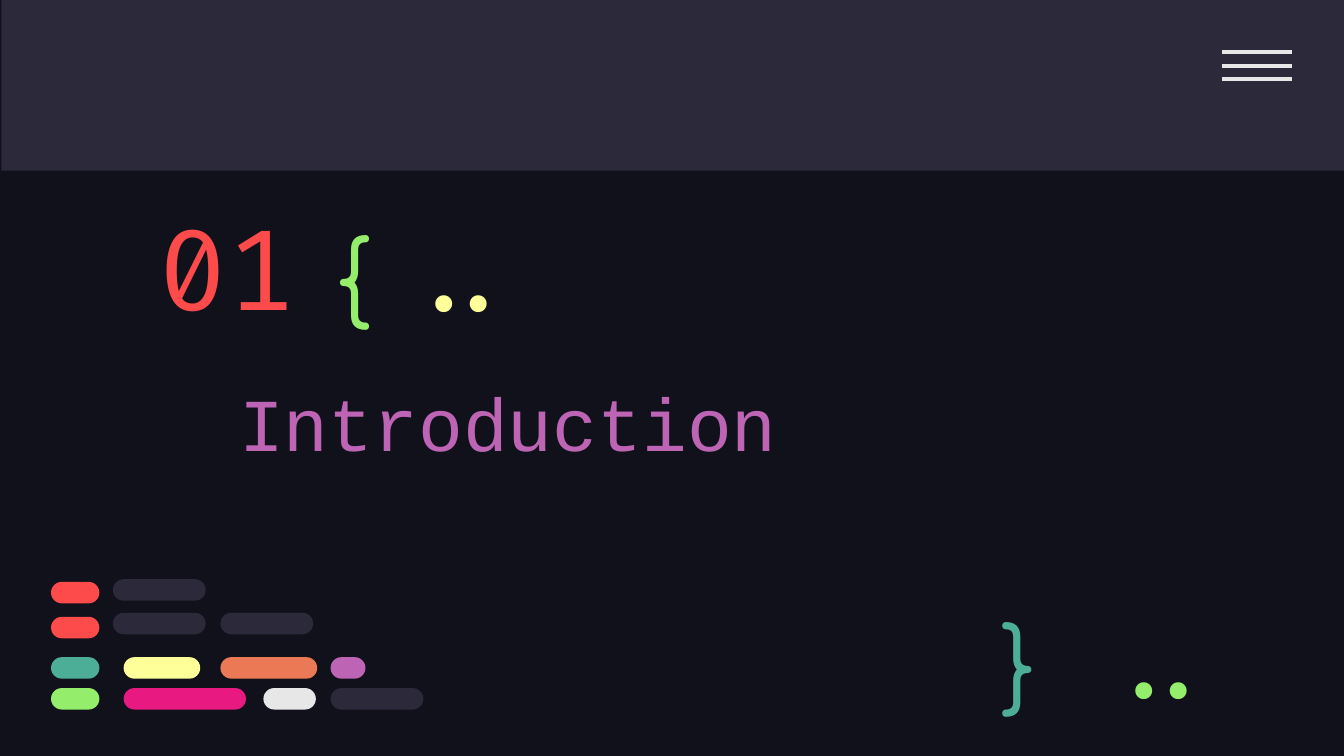
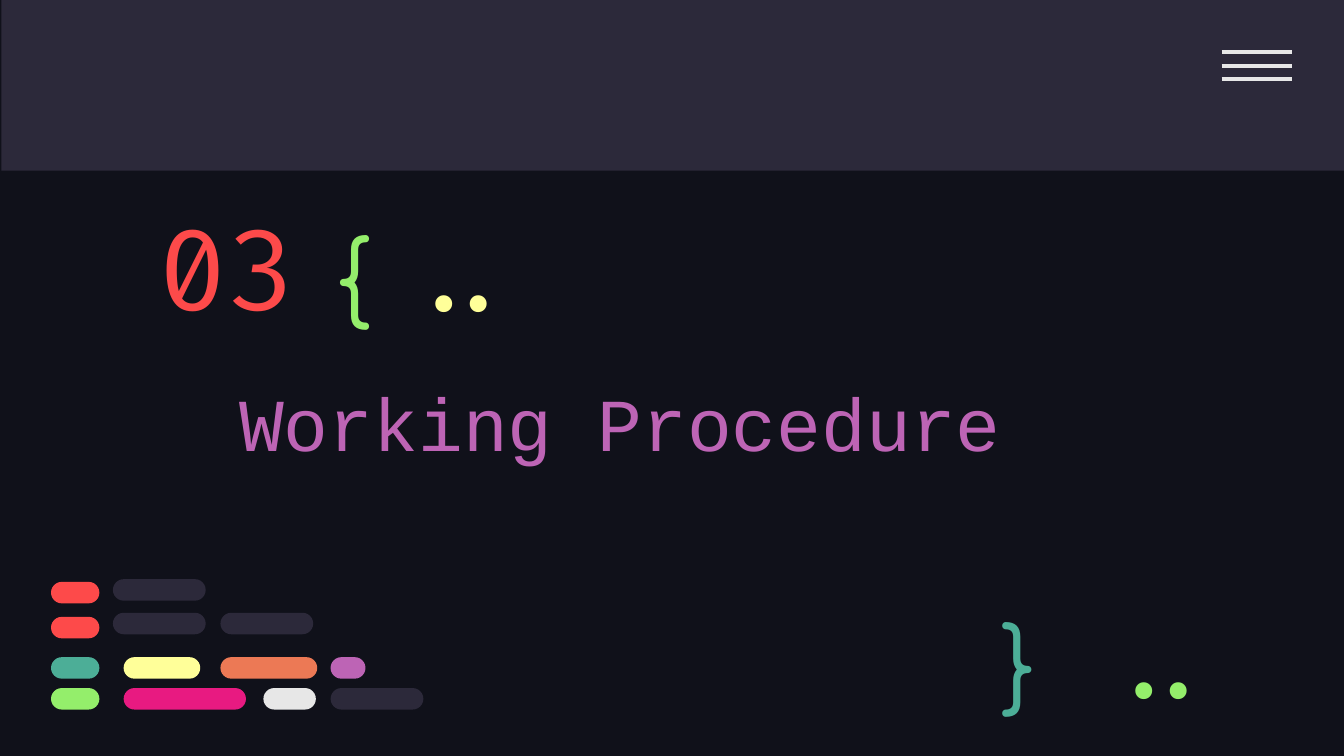
from dataclasses import dataclass

from lxml.etree import SubElement
from pptx import Presentation
from pptx.dml.color import RGBColor
from pptx.enum.shapes import MSO_CONNECTOR as Connector, MSO_SHAPE as Shape
from pptx.enum.text import MSO_ANCHOR as Anchor, MSO_AUTO_SIZE as AutoSize, PP_ALIGN as Align
from pptx.oxml.ns import qn
from pptx.util import Inches, Pt

COLORS = {
    "night": "10111A",
    "slate": "2C293A",
    "white": "E7E7E7",
    "purple": "BD64B5",
    "red": "FD4A4A",
    "green": "94EE6B",
    "teal": "4CAE97",
    "yellow": "FFFF99",
    "orange": "EC7955",
    "pink": "E81A81",
}

# The slide is a grid of square cells, 100 columns wide.
COLUMNS, ROWS = 100, 56.25
CELL = Inches(0.1)
PADDING = CELL
BAR_HEIGHT = 1.6
MENU_LEFT, MENU_RIGHT, MENU_TOP, MENU_STEP = 90.9, 96.1, 3.9, 1


@dataclass(frozen=True)
class Area:
    left: float
    top: float
    width: float
    height: float

    def lengths(self) -> tuple[int, ...]:
        return tuple(cells(n) for n in (self.left, self.top, self.width, self.height))


@dataclass(frozen=True)
class TextStyle:
    area: Area
    font: str
    size: int
    color: str
    align: Align = Align.LEFT
    anchor: Anchor = Anchor.MIDDLE


@dataclass(frozen=True)
class Bar:
    left: float
    width: float
    color: str


@dataclass(frozen=True)
class CodeLine:
    top: float
    bars: tuple[Bar, ...]


@dataclass(frozen=True)
class Section:
    number: str
    title: str


SECTIONS = (Section("01", "Introduction"), Section("03", "Working Procedure"))

BAND = Area(0.1, 0, COLUMNS, 12.7)
TITLE = TextStyle(Area(16.8, 24.8, 72.6, 13.1), "Courier New", 40, "purple")
NUMBER = TextStyle(Area(10.8, 14.8, 18.1, 10), "Fira Code", 60, "red")
SYMBOLS = (
    ("{", TextStyle(Area(24, 15, 7.7, 9.5), "Comfortaa", 50, "green", anchor=Anchor.TOP)),
    ("}", TextStyle(Area(73.5, 43.8, 5.7, 8.3), "Comfortaa", 50, "teal", anchor=Anchor.TOP)),
    ("..", TextStyle(Area(81, 46.2, 10.7, 6), "Fira Code", 50, "green", Align.RIGHT)),
    ("..", TextStyle(Area(28.9, 17.4, 10.7, 6), "Fira Code", 50, "yellow", Align.RIGHT)),
)


def leading_bar(color: str) -> Bar:
    return Bar(3.8, 3.6, color)


def muted_bar(left: float) -> Bar:
    return Bar(left, 6.9, "slate")


CODE_LINES = (
    CodeLine(43.3, (leading_bar("red"),)),
    CodeLine(45.9, (leading_bar("red"),)),
    CodeLine(48.9, (leading_bar("teal"), Bar(9.2, 5.7, "yellow"),
                    Bar(16.4, 7.2, "orange"), Bar(24.6, 2.6, "purple"))),
    CodeLine(51.2, (leading_bar("green"), Bar(9.2, 9.1, "pink"),
                    Bar(19.6, 3.9, "white"), muted_bar(24.6))),
    CodeLine(43.1, (muted_bar(8.4),)),
    CodeLine(45.6, (muted_bar(8.4), muted_bar(16.4))),
)


def cells(count: float) -> int:
    return round(count * CELL)


def rgb(name: str) -> RGBColor:
    return RGBColor.from_string(COLORS[name])


def add_block(shapes, kind: Shape, area: Area, color: str):
    block = shapes.add_shape(kind, *area.lengths())
    block.shadow.inherit = False
    block.fill.solid()
    block.fill.fore_color.rgb = rgb(color)
    block.line.fill.background()
    return block


def write(box, text: str, style: TextStyle) -> None:
    """Place a text box or placeholder and give its single line the style."""
    box.left, box.top, box.width, box.height = style.area.lengths()
    frame = box.text_frame
    frame.text = text
    frame.word_wrap = True
    frame.auto_size = AutoSize.NONE
    frame.vertical_anchor = style.anchor
    frame.margin_left = frame.margin_right = PADDING
    frame.margin_top = frame.margin_bottom = PADDING
    para = frame.paragraphs[0]
    para.alignment = style.align
    para.space_before = Pt(0)
    span = para.runs[0]
    span.font.name = style.font
    span.font.size = Pt(style.size)
    span.font.color.rgb = rgb(style.color)


def add_menu_icon(page) -> None:
    icon = page.shapes.add_group_shape()
    for index in range(3):
        y = cells(MENU_TOP + index * MENU_STEP)
        stroke = icon.shapes.add_connector(
            Connector.STRAIGHT, cells(MENU_LEFT), y, cells(MENU_RIGHT), y)
        stroke.line.color.rgb = rgb("white")
        stroke.line.width = Pt(2.25)
        SubElement(stroke._element.spPr, qn("a:effectLst"))


def add_code_bars(page) -> None:
    group = page.shapes.add_group_shape()
    for line in CODE_LINES:
        for bar in line.bars:
            area = Area(bar.left, line.top, bar.width, BAR_HEIGHT)
            pill = add_block(group.shapes, Shape.ROUNDED_RECTANGLE, area, bar.color)
            pill.adjustments[0] = 0.5


def add_section_page(deck, section: Section) -> None:
    page = deck.slides.add_slide(deck.slide_layouts[0])
    add_block(page.shapes, Shape.RECTANGLE, BAND, "slate")
    add_menu_icon(page)
    write(page.shapes.title, section.title, TITLE)
    write(page.placeholders[1], section.number, NUMBER)
    for symbol, style in SYMBOLS:
        write(page.shapes.add_textbox(*style.area.lengths()), symbol, style)
    add_code_bars(page)


def main() -> None:
    deck = Presentation()
    deck.slide_width, deck.slide_height = cells(COLUMNS), cells(ROWS)
    backdrop = deck.slide_master.background.fill
    backdrop.solid()
    backdrop.fore_color.rgb = rgb("night")
    for section in SECTIONS:
        add_section_page(deck, section)
    deck.save("out.pptx")


if __name__ == "__main__":
    main()
